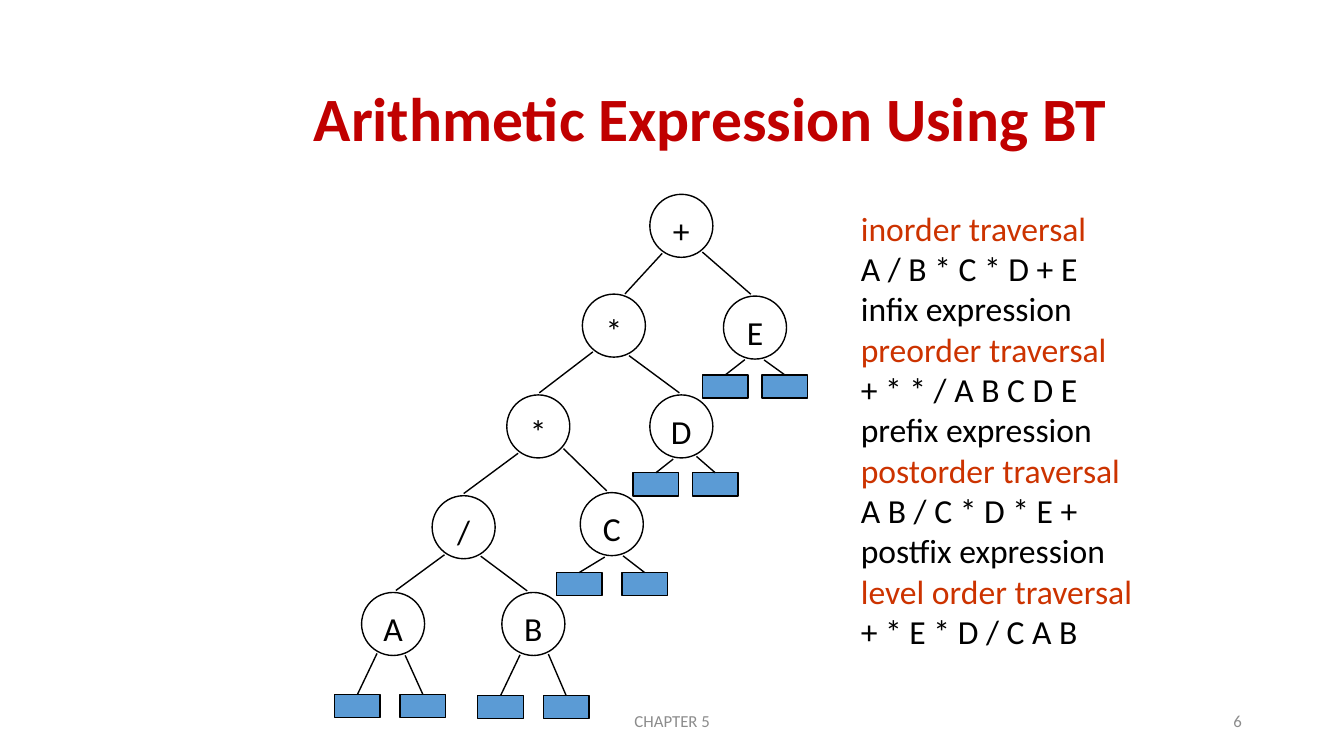
from math import copysign, sqrt

from lxml import etree
from pptx import Presentation
from pptx.dml.color import RGBColor
from pptx.enum.shapes import MSO_CONNECTOR, MSO_SHAPE
from pptx.enum.text import MSO_ANCHOR, MSO_AUTO_SIZE, PP_ALIGN
from pptx.oxml.ns import qn
from pptx.util import Pt

LEFT, CENTER, RIGHT = PP_ALIGN.LEFT, PP_ALIGN.CENTER, PP_ALIGN.RIGHT
TOP, MIDDLE = MSO_ANCHOR.TOP, MSO_ANCHOR.MIDDLE
OVAL, RECT = MSO_SHAPE.OVAL, MSO_SHAPE.RECTANGLE
STRAIGHT = MSO_CONNECTOR.STRAIGHT
FIXED = MSO_AUTO_SIZE.NONE

TITLE = "Arithmetic Expression Using BT"
ORDERS = [
    ("inorder traversal", "A / B * C * D + E", "infix expression"),
    ("preorder traversal", "+ * * / A B C D E", "prefix expression"),
    ("postorder traversal", "A B / C * D * E +", "postfix expression"),
    ("level order traversal", "+ * E * D / C A B"),
]
FOOTER = [
    ("CHAPTER 5", (318.2, 500.4, 324, 28.8), CENTER),
    ("6", (678.2, 500.4, 216, 28.8), RIGHT),
]
# key: label, centre x, centre y
NODES = {
    "sum": ("+", 486.7, 161.3),
    "outer": ("*", 438.5, 232.6),
    "inner": ("*", 384.5, 304.6),
    "ratio": ("/", 331.2, 376.6),
    "A": ("A", 280.8, 445.7),
    "B": ("B", 381, 445.7),
    "C": ("C", 437, 374.4),
    "D": ("D", 486.7, 304.6),
    "E": ("E", 539.3, 234),
}
# parent, child, x offset of each end from its node's centre
EDGES = [
    ("sum", "outer", -13.7, 7.9),
    ("sum", "E", 15, -3),
    ("outer", "inner", -15, 0.7),
    ("outer", "D", 10.8, -1.4),
    ("inner", "ratio", -14.4, 0),
    ("inner", "C", 18, -3.6),
    ("ratio", "A", -13.7, 2),
    ("ratio", "B", 12.2, -4.4),
]
# node: offset of the first box, pitch, drop, x offsets of the two lines
LEAVES = {
    "A": (-41.8, 46.8, 50.4, (-11.5, 8.6)),
    "B": (-39.7, 46.8, 51.1, (-9.5, 10.7)),
    "C": (-39.6, 46.8, 34.6, (-5, 8)),
    "D": (-34.5, 42.4, 33.1, (-5.8, 10.8)),
    "E": (-37.5, 42.5, 33.8, (-7.2, 6.5)),
}
THEME = {
    "font": "Calibri",
    "title": (44, RGBColor(0xC0, 0x00, 0x00)),
    "head": (24, RGBColor(0xCC, 0x33, 0x00)),
    "text": (24, RGBColor(0x00, 0x00, 0x00)),
    "foot": (12, RGBColor(0x8C, 0x8C, 0x8C)),
    "line": RGBColor(0x00, 0x00, 0x00),
    "box": RGBColor(0x5B, 0x9B, 0xD5),
}
NODE, RIM = 45, 24
BOX_W, BOX_H = 32.6, 16.6


def points(*values):
    return [Pt(value) for value in values]


def place(shape, area):
    shape.left, shape.top, shape.width, shape.height = points(*area)


def style(para, kind, align, bold=False):
    para.alignment = align
    for run in para.runs:
        font = run.font
        font.name, font.bold = THEME["font"], bold
        size, font.color.rgb = THEME[kind]
        font.size = Pt(size)


def outline(shape):
    shape.line.color.rgb = THEME["line"]
    shape.line.width = Pt(1)


def add_line(slide, start, end):
    line = slide.shapes.add_connector(STRAIGHT, *points(*start, *end))
    outline(line)
    etree.SubElement(line._element.spPr, qn("a:effectLst"))
    return line


def add_node(slide, label, x, y):
    node = slide.shapes.add_shape(
        OVAL, *points(x - NODE / 2, y - NODE / 2, NODE, NODE))
    node.shadow.inherit = False
    node.fill.background()
    outline(node)
    frame = node.text_frame
    frame.margin_left = frame.margin_right = frame.margin_bottom = 0
    frame.margin_top = Pt(6)
    frame.word_wrap = False
    frame.vertical_anchor = MIDDLE
    frame.text = label
    style(frame.paragraphs[0], "text", CENTER)


def rim(key, dx, side):
    label, x, y = NODES[key]
    return x + dx, y + copysign(sqrt(RIM ** 2 - dx ** 2), side)


def add_leaves(slide, key, shift, pitch, drop, feet):
    label, x, y = NODES[key]
    for i, foot in enumerate(feet):
        left, top = x + shift + i * pitch, y + drop
        box = slide.shapes.add_shape(RECT, *points(left, top, BOX_W, BOX_H))
        box.shadow.inherit = False
        box.fill.solid()
        box.fill.fore_color.rgb = THEME["box"]
        outline(box)
        line = add_line(slide, rim(key, foot, 1), (left + BOX_W / 2, top))
        line.end_connect(box, 0)


def add_orders(body):
    place(body, (607.7, 144.7, 210.2, 326.9))
    frame = body.text_frame
    frame.auto_size = FIXED
    frame.word_wrap = False
    frame.vertical_anchor = TOP
    rows = [(text, "text" if i else "head")
            for group in ORDERS for i, text in enumerate(group)]
    frame.text = "\n".join(text for text, kind in rows)
    for para, (text, kind) in zip(frame.paragraphs, rows):
        para.space_before = para.space_after = Pt(0)
        style(para, kind, LEFT)
        props = para._p.get_or_add_pPr()
        props.set("marL", "0")
        props.set("indent", "0")
        etree.SubElement(props, qn("a:buNone"))


def main():
    deck = Presentation()
    deck.slide_width, deck.slide_height = points(960, 540)
    slide = deck.slides.add_slide(deck.slide_layouts[1])

    title = slide.shapes.title
    place(title, (146.9, 38.2, 721.4, 90))
    title.text_frame.text = TITLE
    title.text_frame.vertical_anchor = MIDDLE
    style(title.text_frame.paragraphs[0], "title", CENTER, True)

    add_orders(slide.placeholders[1])
    for node in NODES.values():
        add_node(slide, *node)
    for parent, child, foot, head in EDGES:
        add_line(slide, rim(parent, foot, 1), rim(child, head, -1))
    for key, leaf in LEAVES.items():
        add_leaves(slide, key, *leaf)

    for text, area, align in FOOTER:
        frame = slide.shapes.add_textbox(*points(*area)).text_frame
        frame.word_wrap = True
        frame.vertical_anchor = MIDDLE
        frame.text = text
        style(frame.paragraphs[0], "foot", align)

    deck.save("out.pptx")


if __name__ == "__main__":
    main()
